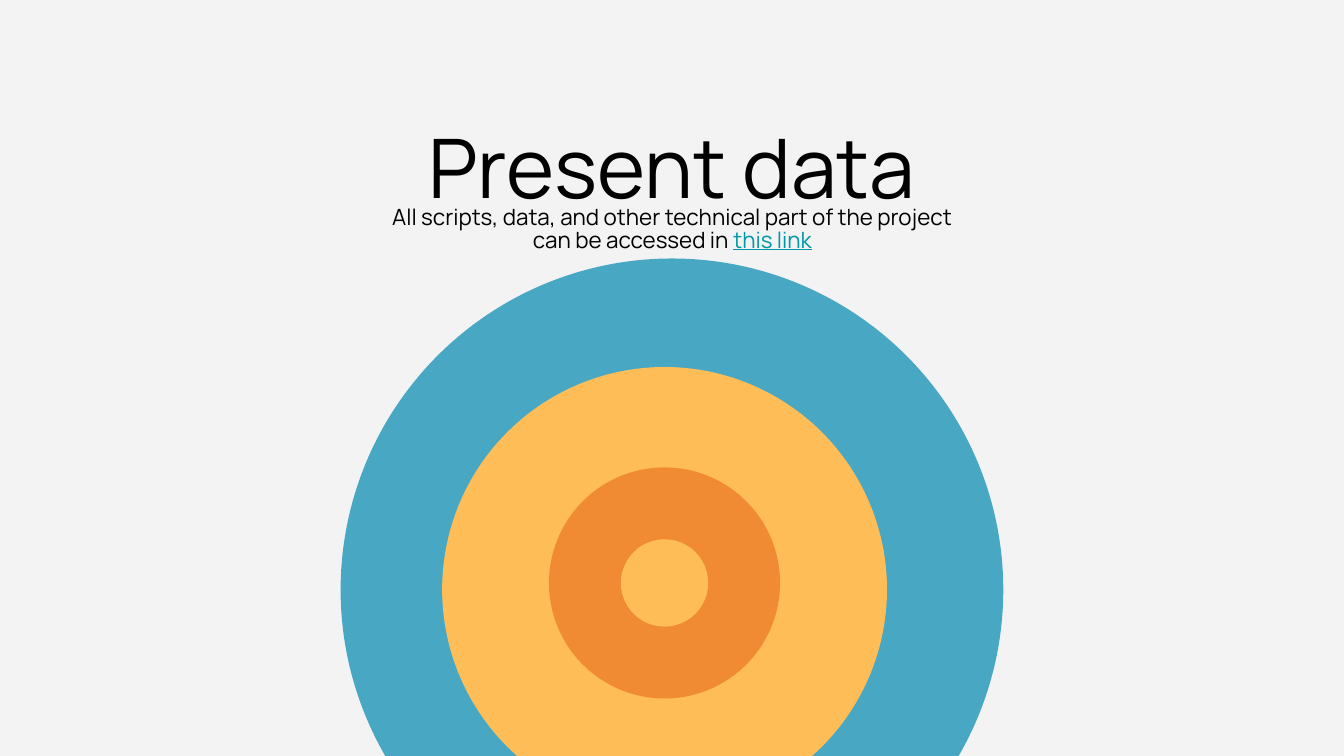
from dataclasses import dataclass

from pptx import Presentation
from pptx.dml.color import RGBColor
from pptx.enum.shapes import MSO_SHAPE as SHAPE
from pptx.enum.text import MSO_ANCHOR as ANCHOR, PP_ALIGN as ALIGN
from pptx.util import Pt

FONT = "Manrope"
BLACK = "000000"
AMBER = "FFBD58"


@dataclass(frozen=True)
class Circle:
    cx: float
    cy: float
    diameter: float
    fill: str


@dataclass(frozen=True)
class Run:
    text: str
    color: str = BLACK
    underline: bool = False


@dataclass(frozen=True)
class Label:
    left: float
    top: float
    width: float
    height: float
    size: float
    anchor: ANCHOR
    runs: tuple[Run, ...]


CIRCLES = (
    Circle(360, 316, 355, "48A8C4"),
    Circle(356, 315.8, 238.3, AMBER),
    Circle(356, 312.3, 123.8, "F08B33"),
    Circle(356, 312.3, 46.8, AMBER),
)

LABELS = (
    Label(191.5, 13, 337, 159.8, 44, ANCHOR.MIDDLE, (Run("Present data"),)),
    Label(195, 103.7, 330.5, 39.6, 12, ANCHOR.TOP, (
        Run("All scripts, data, and other technical part of the project can be accessed in "),
        Run("this link", "0097A7", True),
    )),
)


def rgb(color: str) -> RGBColor:
    return RGBColor.from_string(color)


def draw_circle(s, circle: Circle) -> None:
    d = circle.diameter
    sp = s.shapes.add_shape(
        SHAPE.OVAL, Pt(circle.cx - d / 2), Pt(circle.cy - d / 2), Pt(d), Pt(d))
    sp.shadow.inherit = False
    sp.fill.solid()
    sp.fill.fore_color.rgb = rgb(circle.fill)
    sp.line.fill.background()


def draw_label(s, label: Label) -> None:
    sp = s.shapes.add_textbox(
        Pt(label.left), Pt(label.top), Pt(label.width), Pt(label.height))
    tf = sp.text_frame
    tf.word_wrap = True
    tf.vertical_anchor = label.anchor
    tf.margin_left = tf.margin_right = tf.margin_top = tf.margin_bottom = Pt(7.2)
    p = tf.paragraphs[0]
    p.alignment = ALIGN.CENTER
    p.line_spacing = 0.85
    p.font.name = FONT
    p.font.size = Pt(label.size)
    for run in label.runs:
        r = p.add_run()
        r.text = run.text
        r.font.color.rgb = rgb(run.color)
        if run.underline:
            r.font.underline = True


def main() -> None:
    prs = Presentation()
    prs.slide_width, prs.slide_height = Pt(720), Pt(405)
    s = prs.slides.add_slide(prs.slide_layouts[6])
    s.background.fill.solid()
    s.background.fill.fore_color.rgb = rgb("F3F3F3")
    for circle in CIRCLES:
        draw_circle(s, circle)
    for label in LABELS:
        draw_label(s, label)
    prs.save("out.pptx")


if __name__ == "__main__":
    main()
